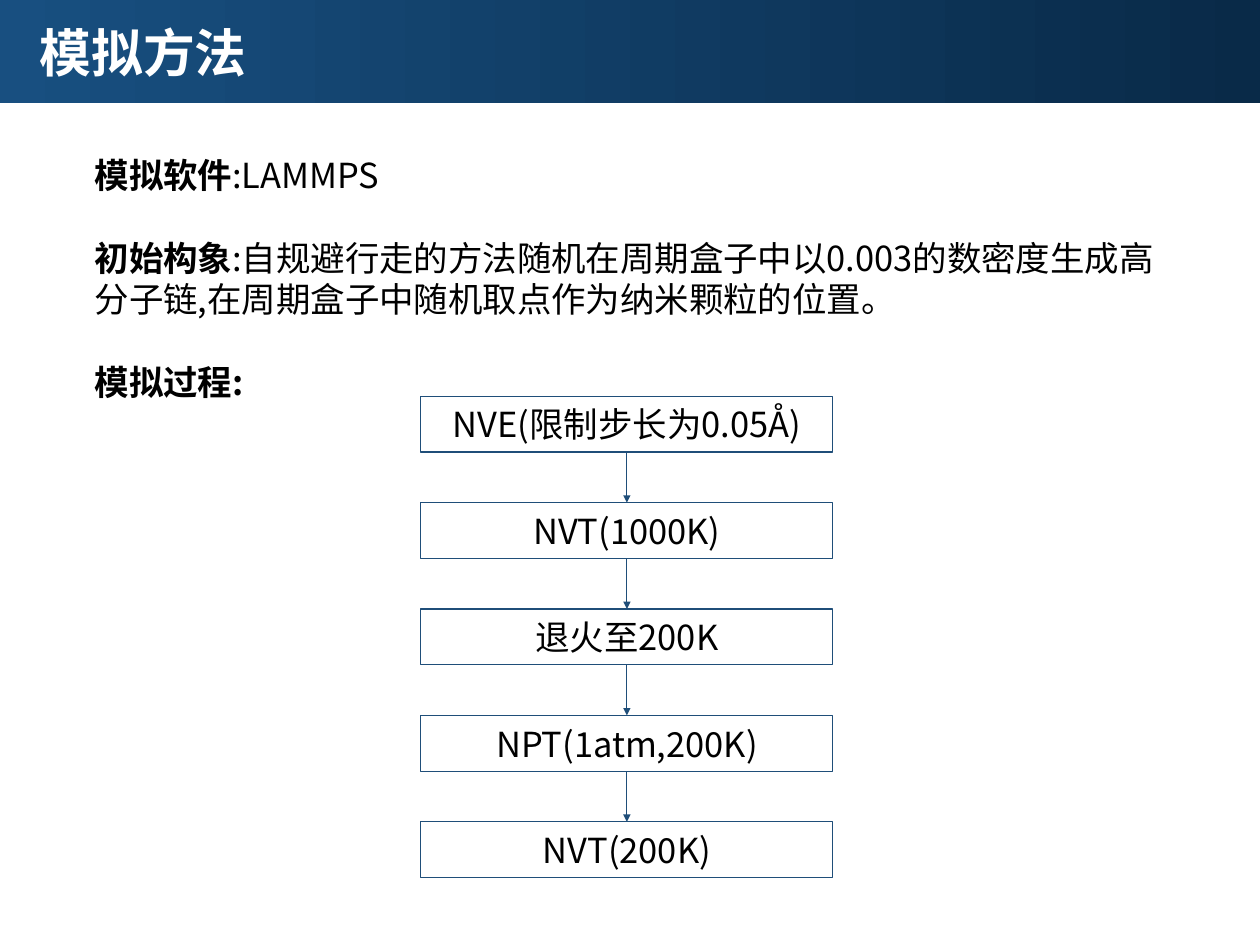
from lxml import etree
from pptx import Presentation
from pptx.dml.color import RGBColor
from pptx.enum.shapes import MSO_CONNECTOR, MSO_SHAPE
from pptx.enum.text import MSO_ANCHOR, PP_ALIGN
from pptx.oxml.ns import qn
from pptx.util import Inches, Pt

TITLE = "模拟方法"
SECTIONS = [
    [("模拟软件", True), (":LAMMPS", False)],
    [
        ("初始构象", True),
        (":自规避行走的方法随机在周期盒子中以0.003的数密度生成高\t分子链,在周期盒子中随机取点作为纳米颗粒的位置。", False),
    ],
    [("模拟过程:", True)],
]
STEPS = ["NVE(限制步长为0.05Å)", "NVT(1000K)", "退火至200K", "NPT(1atm,200K)", "NVT(200K)"]

COLORS = {"text": "000000", "title": "FFFFFF", "line": "1F4E79", "dark": "092A48", "light": "184F80"}
FONT = "Noto Sans CJK SC"
BODY_SIZE, TITLE_SIZE = 28, 42
LINE_RATIO = 1.2
INDENT_TAB = 1.36

WIDTH, HEIGHT = 14.22, 10.66
BANNER_HEIGHT = 1.16
STEP_LEFT, STEP_TOP = 4.75, 4.47
STEP_WIDTH, STEP_HEIGHT, STEP_PITCH = 4.65, 0.63, 1.2

RECTANGLE = MSO_SHAPE.RECTANGLE
STRAIGHT = MSO_CONNECTOR.STRAIGHT
LEFT, CENTER = PP_ALIGN.LEFT, PP_ALIGN.CENTER
TOP, MIDDLE = MSO_ANCHOR.TOP, MSO_ANCHOR.MIDDLE


def color(name):
    return RGBColor.from_string(COLORS[name])


def write_text(shape, paragraphs, size=BODY_SIZE, color_name="text", align=LEFT, anchor=TOP, wrap=True):
    frame = shape.text_frame
    frame.word_wrap = wrap
    frame.vertical_anchor = anchor
    for index, runs in enumerate(paragraphs):
        paragraph = frame.add_paragraph() if index else frame.paragraphs[0]
        paragraph.alignment = align
        paragraph.line_spacing = Pt(size * LINE_RATIO)
        paragraph.space_before = Pt(size * LINE_RATIO if index else 0)
        tabs = etree.SubElement(paragraph._p.get_or_add_pPr(), qn("a:tabLst"))
        etree.SubElement(tabs, qn("a:tab"), pos=str(Inches(INDENT_TAB)), algn="l")
        for text, bold in runs:
            run = paragraph.add_run()
            run.text = text
            run.font.size = Pt(size)
            run.font.bold = bold
            run.font.name = FONT
            run.font.color.rgb = color(color_name)
            etree.SubElement(run._r.get_or_add_rPr(), qn("a:ea"), typeface=FONT)


def add_banner(slide):
    banner = slide.shapes.add_shape(RECTANGLE, 0, 0, Inches(WIDTH), Inches(BANNER_HEIGHT))
    banner.shadow.inherit = False
    banner.line.fill.background()
    banner.fill.gradient()
    banner.fill.gradient_angle = 180
    for stop, name in zip(banner.fill.gradient_stops, ("dark", "light")):
        stop.color.rgb = color(name)
    title = slide.shapes.add_textbox(Inches(0.35), Inches(0.18), Inches(2.53), Inches(0.8))
    write_text(title, [[(TITLE, True)]], size=TITLE_SIZE, color_name="title", wrap=False)


def add_step(slide, text, top):
    box = slide.shapes.add_shape(
        RECTANGLE, Inches(STEP_LEFT), Inches(top), Inches(STEP_WIDTH), Inches(STEP_HEIGHT)
    )
    box.shadow.inherit = False
    box.fill.background()
    box.line.color.rgb = color("line")
    box.line.width = Pt(1)
    write_text(box, [[(text, False)]], align=CENTER, anchor=MIDDLE)


def add_arrow(slide, top, bottom):
    middle = Inches(STEP_LEFT + STEP_WIDTH / 2)
    arrow = slide.shapes.add_connector(STRAIGHT, middle, Inches(top), middle, Inches(bottom))
    arrow.line.color.rgb = color("line")
    arrow.line.width = Pt(1)
    etree.SubElement(arrow.line._get_or_add_ln(), qn("a:tailEnd"), type="triangle")
    etree.SubElement(arrow._element.spPr, qn("a:effectLst"))


def main():
    presentation = Presentation()
    presentation.slide_width = Inches(WIDTH)
    presentation.slide_height = Inches(HEIGHT)
    slide = presentation.slides.add_slide(presentation.slide_layouts[6])

    body = slide.shapes.add_textbox(Inches(0.97), Inches(1.69), Inches(12.28), Inches(2.9))
    write_text(body, SECTIONS)
    for index, text in enumerate(STEPS):
        top = STEP_TOP + index * STEP_PITCH
        add_step(slide, text, top)
        if index:
            add_arrow(slide, top - STEP_PITCH + STEP_HEIGHT, top)
    add_banner(slide)
    presentation.save("out.pptx")


if __name__ == "__main__":
    main()
